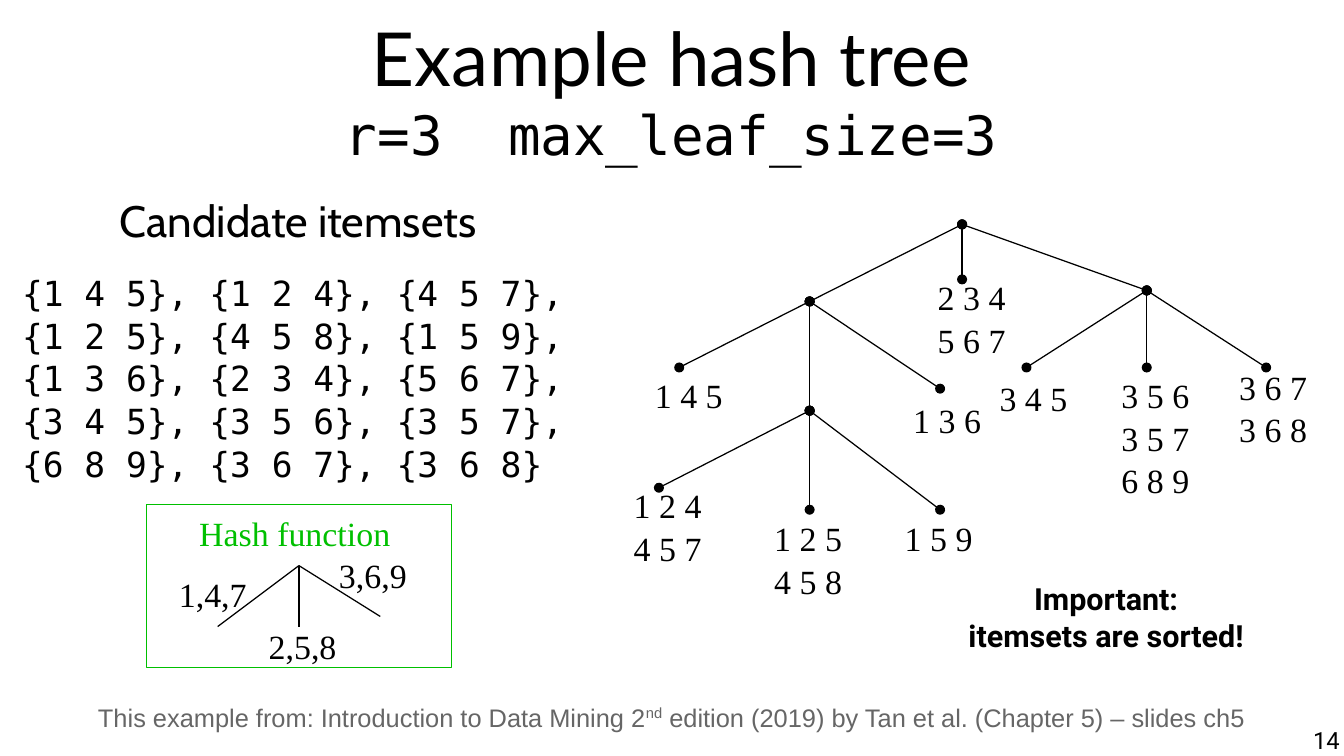
from lxml.etree import SubElement
from pptx import Presentation
from pptx.dml.color import RGBColor
from pptx.enum.shapes import MSO_CONNECTOR as Connector, MSO_SHAPE as Preset
from pptx.enum.text import MSO_ANCHOR as Anchor, MSO_AUTO_SIZE as AutoSize, PP_ALIGN as Align
from pptx.oxml.ns import qn
from pptx.util import Pt

COLORS = {"text": "000000", "hash": "00C000", "source": "666666"}
SANS, MONO, SERIF = "Lato", "DejaVu Sans Mono", "Times New Roman"
LABEL_WIDTH, LABEL_ROW, LABEL_MARGIN = 54, 24.2, 7.2

# Tree nodes: name -> (parent, x, y), measured from the corner of the tree
NODES = {
    "root": (None, 201, 0.5),
    "1": ("root", 111, 46),
    "2": ("root", 201, 33),
    "3": ("root", 310, 39.5),
    "1-1": ("1", 34, 85),
    "1-2": ("1", 111, 110.5),
    "1-3": ("1", 188, 97.5),
    "1-2-1": ("1-2", 22, 156),
    "1-2-2": ("1-2", 111, 169),
    "1-2-3": ("1-2", 188, 169),
    "3-1": ("3", 239, 85),
    "3-2": ("3", 310, 85),
    "3-3": ("3", 380.5, 85),
}

# Leaf labels: (x, y, itemsets)
LEAVES = [
    (179.5, 26.5, ["2 3 4", "5 6 7"]),
    (12.5, 84.5, ["1 4 5"]),
    (165, 99, ["1 3 6"]),
    (0, 149.5, ["1 2 4", "4 5 7"]),
    (83, 169, ["1 2 5", "4 5 8"]),
    (160, 169, ["1 5 9"]),
    (216, 86, ["3 4 5"]),
    (288, 84.5, ["3 5 6", "3 5 7", "6 8 9"]),
    (357.5, 79.5, ["3 6 7", "3 6 8"]),
]

CANDIDATES = [
    "{1 4 5}, {1 2 4}, {4 5 7},",
    "{1 2 5}, {4 5 8}, {1 5 9},",
    "{1 3 6}, {2 3 4}, {5 6 7},",
    "{3 4 5}, {3 5 6}, {3 5 7},",
    "{6 8 9}, {3 6 7}, {3 6 8}",
]


def color(name):
    return RGBColor.from_string(COLORS[name])


def add_run(paragraph, text, font, size, tone="text", bold=False):
    run = paragraph.add_run()
    run.text = text
    run.font.name, run.font.size, run.font.bold = font, Pt(size), bold
    run.font.color.rgb = color(tone)
    return run


def add_lines(paragraph, lines, *style, **options):
    for index, line in enumerate(lines):
        if index:
            paragraph.add_line_break()
        add_run(paragraph, line, *style, **options)


def set_frame(frame, margins=(0, 0), wrap=True):
    frame.margin_left = frame.margin_right = Pt(margins[0])
    frame.margin_top = frame.margin_bottom = Pt(margins[1])
    frame.word_wrap = wrap
    frame.auto_size = AutoSize.NONE
    return frame


def add_text_box(shapes, box, margins=(0, 0), wrap=True):
    shape = shapes.add_textbox(*map(Pt, box))
    return set_frame(shape.text_frame, margins, wrap)


def add_label(shapes, x, y, rows, tone="text", width=LABEL_WIDTH):
    box = (x, y, width, len(rows) * LABEL_ROW + LABEL_MARGIN)
    frame = add_text_box(shapes, box, (7.2, 3.6), wrap=False)
    for index, row in enumerate(rows):
        paragraph = frame.add_paragraph() if index else frame.paragraphs[0]
        paragraph.line_spacing = 1.05
        add_run(paragraph, row, SERIF, 20, tone)


def add_branch(shapes, start, end, dots=False):
    branch = shapes.add_connector(Connector.STRAIGHT, *map(Pt, (*start, *end)))
    branch.line.color.rgb = color("text")
    branch.line.width = Pt(0.75)
    if dots:
        line = branch.line._get_or_add_ln()
        for tag in ("a:headEnd", "a:tailEnd"):
            SubElement(line, qn(tag), type="oval")
    SubElement(branch._element.spPr, qn("a:effectLst"))


def add_title(slide, box):
    title = slide.shapes.title
    title.left, title.top, title.width, title.height = map(Pt, box)
    frame = set_frame(title.text_frame)
    frame.vertical_anchor = Anchor.MIDDLE
    paragraph = frame.paragraphs[0]
    paragraph.alignment = Align.CENTER
    add_run(paragraph, "Example hash tree", SANS, 44)
    paragraph.add_line_break()
    add_run(paragraph, "r=3  max_leaf_size=3", MONO, 32)


def add_candidates(slide, box):
    frame = add_text_box(slide.shapes, box)
    heading = frame.paragraphs[0]
    heading.alignment = Align.CENTER
    add_run(heading, "Candidate itemsets", "Cabin", 25.9)
    itemsets = frame.add_paragraph()
    itemsets.space_before = Pt(14.2)
    itemsets.line_spacing = 1.03
    add_lines(itemsets, CANDIDATES, MONO, 20.4)


def add_hash_tree(slide, left, top):
    shapes = slide.shapes.add_group_shape().shapes
    places = {name: (left + x, top + y) for name, (_, x, y) in NODES.items()}
    for name, (parent, _, _) in NODES.items():
        if parent:
            add_branch(shapes, places[parent], places[name], dots=True)
    for x, y, rows in LEAVES:
        add_label(shapes, left + x, top + y, rows)


def add_hash_function(slide, box):
    left, top, width, height = box
    shapes = slide.shapes.add_group_shape().shapes
    fork = (left + width / 2, top + 36)
    for dx, dy in ((-48, 36), (0, 36), (48, 30)):
        add_branch(shapes, fork, (fork[0] + dx, fork[1] + dy))
    for x, y, text in ((12, 36, "1,4,7"), (65, 67, "2,5,8"), (106.5, 25, "3,6,9")):
        add_label(shapes, left + x, top + y, [text])
    add_label(shapes, left + 24, top, ["Hash function"], "hash", 127.5)
    # Frame
    frame = shapes.add_shape(Preset.RECTANGLE, *map(Pt, box))
    frame.shadow.inherit = False
    frame.fill.background()
    frame.line.color.rgb = color("hash")
    frame.line.width = Pt(0.75)


def add_source(slide, box):
    paragraph = add_text_box(slide.shapes, box, (7.2, 3.6)).paragraphs[0]
    paragraph.alignment = Align.CENTER
    style = ("Arial", 15, "source")
    add_run(paragraph, "This example from: Introduction to Data Mining 2", *style)
    ordinal = add_run(paragraph, "nd", *style)
    ordinal.font._element.set("baseline", "33000")
    add_run(paragraph, " edition (2019) by Tan et al. (Chapter 5) – slides ch5", *style)


def add_reminder(slide, box):
    paragraph = add_text_box(slide.shapes, box, (7.2, 3.6)).paragraphs[0]
    paragraph.alignment = Align.CENTER
    add_lines(paragraph, ["Important:", "itemsets are sorted!"], "Roboto", 18, bold=True)


def add_page_number(slide, box):
    paragraph = add_text_box(slide.shapes, box).paragraphs[0]
    paragraph.alignment = Align.RIGHT
    add_run(paragraph, "14", "Roboto", 14)


def main():
    presentation = Presentation()
    presentation.slide_width, presentation.slide_height = Pt(793.44), Pt(446.4)
    slide = presentation.slides.add_slide(presentation.slide_layouts[5])
    add_title(slide, (39.5, 3, 714, 99.5))
    add_candidates(slide, (13, 114.5, 326, 200))
    add_hash_tree(slide, 367, 132)
    add_hash_function(slide, (86.5, 298, 180, 96))
    add_source(slide, (3.5, 411, 786, 28))
    add_reminder(slide, (522, 339, 262, 50.5))
    add_page_number(slide, (606, 428.4, 185, 18))
    presentation.save("out.pptx")


if __name__ == "__main__":
    main()
